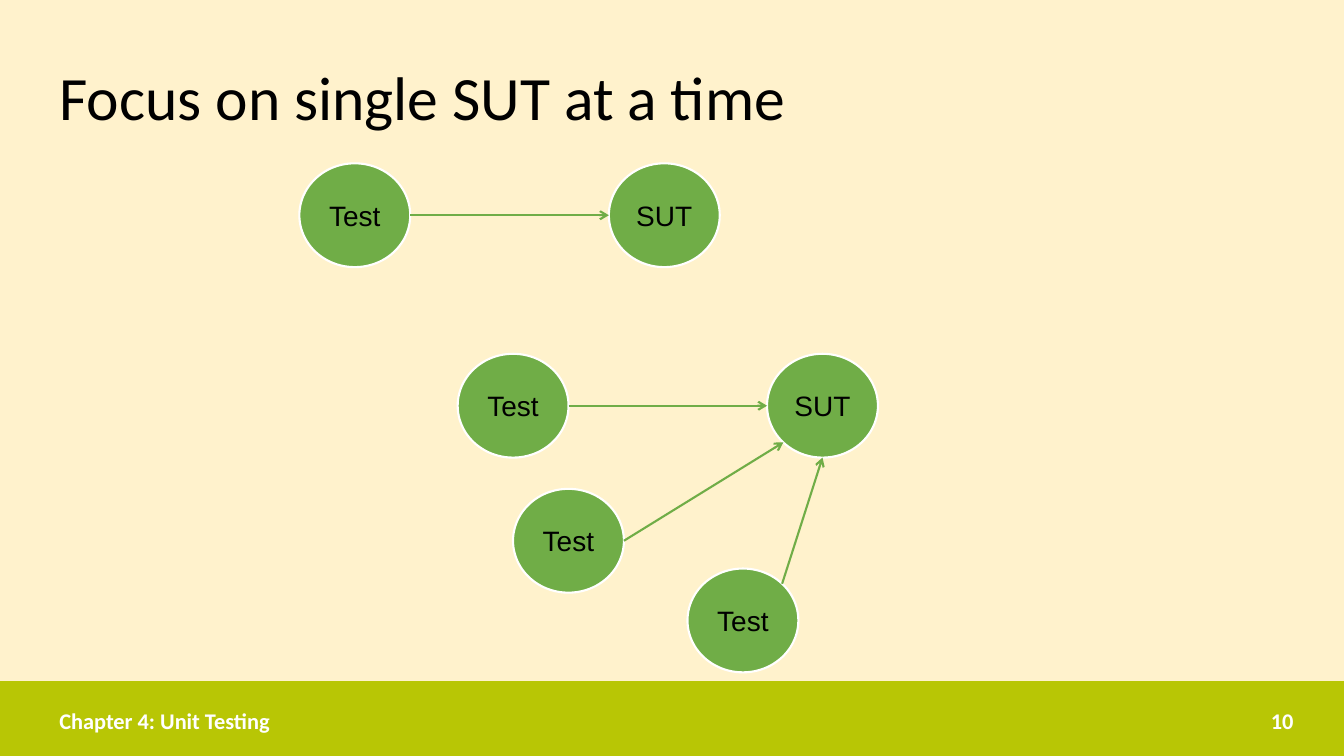
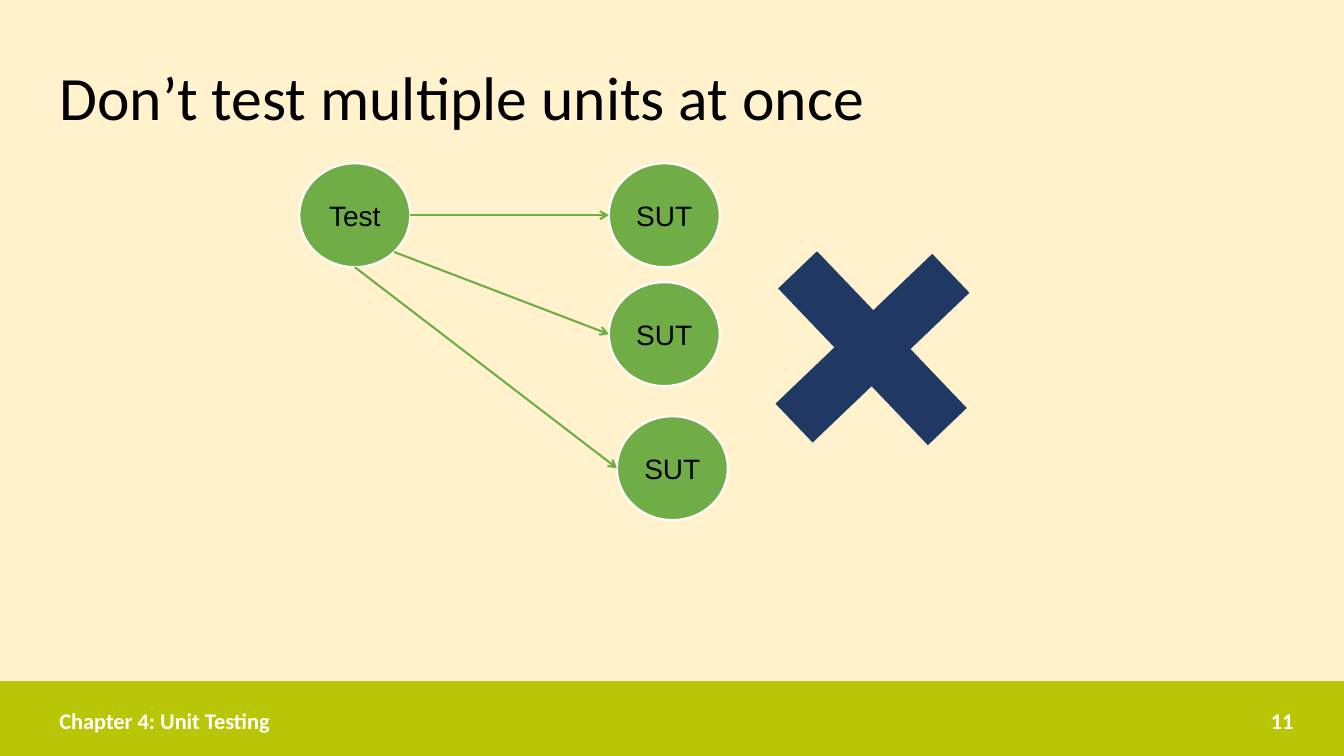
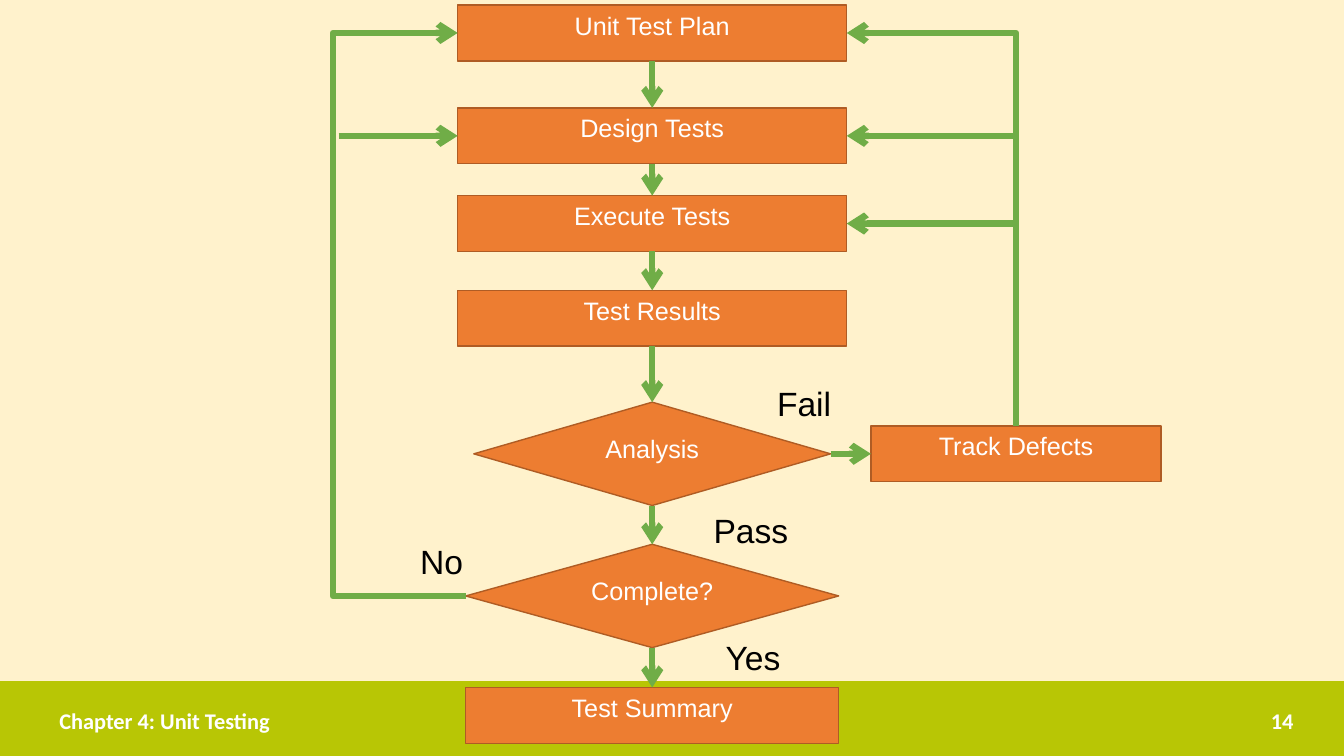
from math import cos, radians, sin

from lxml import etree
from pptx import Presentation
from pptx.dml.color import RGBColor
from pptx.enum.shapes import MSO_CONNECTOR, MSO_SHAPE
from pptx.enum.text import MSO_ANCHOR, PP_ALIGN
from pptx.oxml.ns import qn
from pptx.util import Inches, Pt

STRAIGHT, ELBOW = MSO_CONNECTOR.STRAIGHT, MSO_CONNECTOR.ELBOW
RECTANGLE, ELLIPSE = MSO_SHAPE.RECTANGLE, MSO_SHAPE.OVAL
DIAMOND, CROSS = MSO_SHAPE.DIAMOND, MSO_SHAPE.CROSS
TOP, MIDDLE = MSO_ANCHOR.TOP, MSO_ANCHOR.MIDDLE
LEFT, CENTER, RIGHT = PP_ALIGN.LEFT, PP_ALIGN.CENTER, PP_ALIGN.RIGHT
TOP_SIDE, LEFT_SIDE, BOTTOM_SIDE, RIGHT_SIDE = range(4)

CREAM = RGBColor(0xFF, 0xF2, 0xCC)
LIME = RGBColor(0xB8, 0xC6, 0x05)
GREEN = RGBColor(0x70, 0xAD, 0x47)
ORANGE = RGBColor(0xED, 0x7D, 0x31)
BROWN = RGBColor(0xAF, 0x5C, 0x24)
NAVY = RGBColor(0x20, 0x38, 0x64)
WHITE = RGBColor(0xFF, 0xFF, 0xFF)
BLACK = RGBColor(0x00, 0x00, 0x00)

WIDTH, HEIGHT = Inches(13.333), Inches(7.5)
MARGIN = 3.68
AXIS = 48.53
BOX_HEIGHT, DIAMOND_HEIGHT = 7.4, 13.67
LOOP_LANE, STUB_LEFT, STUB_RIGHT = 24.75, 25.2, 75.38
CHAPTER = "Chapter 4: Unit Testing"


def across(percent):
    return round(WIDTH * percent / 100)


def down(percent):
    return round(HEIGHT * percent / 100)


def area(left, top, width, height):
    return across(left), down(top), across(width), down(height)


def write(shape, text, size=20, font="Arial", color=BLACK, bold=False,
          align=LEFT, anchor=TOP, wrap=True, spacing=None):
    frame = shape.text_frame
    frame.word_wrap = wrap
    frame.vertical_anchor = anchor
    para = frame.paragraphs[0]
    para.alignment = align
    if spacing:
        para.line_spacing = spacing
    span = para.add_run()
    span.text = text
    span.font.name = font
    span.font.size = Pt(size)
    span.font.bold = bold
    span.font.color.rgb = color


def add_text(page, place, text, **style):
    write(page.shapes.add_textbox(*area(*place)), text, **style)


def add_figure(page, kind, place, fill, line=None, weight=1):
    shape = page.shapes.add_shape(kind, *area(*place))
    shape.shadow.inherit = False
    shape.fill.solid()
    shape.fill.fore_color.rgb = fill
    if line is None:
        shape.line.fill.background()
    else:
        shape.line.color.rgb = line
        shape.line.width = Pt(weight)
    return shape


def add_page(deck, number, title=None):
    page = deck.slides.add_slide(deck.slide_layouts[6])
    page.background.fill.solid()
    page.background.fill.fore_color.rgb = CREAM
    add_figure(page, RECTANGLE, (0, 90.1, 100, 9.9), LIME)
    if title:
        add_text(page, (MARGIN, 3.6, 93.2, 19.33), title, size=44,
                 font="Calibri", anchor=MIDDLE, spacing=0.9)
    footer = dict(size=16, font="Calibri", color=WHITE, bold=True, anchor=MIDDLE)
    add_text(page, (MARGIN, 92.67, 46.43, 5.33), CHAPTER, **footer)
    add_text(page, (70.65, 92.67, 26.33, 5.33), str(number), align=RIGHT, **footer)
    return page


def add_node(page, text, center_x, center_y):
    width, height = 8.25, 13.73
    place = (center_x - width / 2, center_y - height / 2, width, height)
    node = add_figure(page, ELLIPSE, place, GREEN, WHITE, 1.5)
    frame = node.text_frame
    frame.margin_left = frame.margin_right = 0
    write(node, text, align=CENTER, anchor=MIDDLE)
    return node


def add_step(page, text, top, width, kind=RECTANGLE, center=AXIS):
    height = DIAMOND_HEIGHT if kind == DIAMOND else BOX_HEIGHT
    place = (center - width / 2, top, width, height)
    step = add_figure(page, kind, place, ORANGE, BROWN)
    write(step, text, size=18, color=WHITE, align=CENTER)
    return step


def add_arrow(page, start, end, weight=4.5, kind=STRAIGHT, tip="tailEnd"):
    arrow = page.shapes.add_connector(kind, *start, *end)
    arrow.line.color.rgb = GREEN
    arrow.line.width = Pt(weight)
    etree.SubElement(arrow.line._get_or_add_ln(), qn("a:" + tip), type="arrow")
    etree.SubElement(arrow._element.spPr, qn("a:effectLst"))
    return arrow


def rim(node, degrees):
    angle = radians(degrees)
    return (round(node.left + node.width / 2 * (1 + cos(angle))),
            round(node.top + node.height / 2 * (1 + sin(angle))))


def point_at(page, source, source_angle, target, target_angle):
    add_arrow(page, rim(source, source_angle), rim(target, target_angle), 1.5)


def join(page, source, source_side, target, target_side, **style):
    arrow = add_arrow(page, (0, 0), (0, 0), **style)
    arrow.begin_connect(source, source_side)
    arrow.end_connect(target, target_side)
    return arrow


def add_stub(page, start_x, step, side):
    middle = step.top + step.height // 2
    arrow = add_arrow(page, (across(start_x), middle), (step.left, middle))
    arrow.end_connect(step, side)


def add_loop(page, source, target, lane):
    arrow = join(page, source, LEFT_SIDE, target, LEFT_SIDE, kind=ELBOW)
    ratio = (arrow.begin_x - across(lane)) / (arrow.begin_x - arrow.end_x)
    guides = arrow._element.spPr.find(qn("a:prstGeom")).get_or_add_avLst()
    etree.SubElement(guides, qn("a:gd"), name="adj1",
                     fmla=f"val {round(ratio * 100000)}")


def add_corner(page, target, source):
    arrow = join(page, target, RIGHT_SIDE, source, TOP_SIDE,
                 kind=ELBOW, tip="headEnd")
    arrow._element.spPr.find(qn("a:prstGeom")).set("prst", "bentConnector2")


def build_single_unit(deck):
    page = add_page(deck, 10, "Focus on single SUT at a time")
    unit = add_node(page, "SUT", 49.43, 28.47)
    point_at(page, add_node(page, "Test", 26.4, 28.47), 0, unit, 180)
    unit = add_node(page, "SUT", 61.2, 53.67)
    for x, y, leave, arrive in ((38.18, 53.67, 0, 180),
                                (42.3, 71.53, 0, 135),
                                (55.28, 82.07, -45, 90)):
        point_at(page, add_node(page, "Test", x, y), leave, unit, arrive)


def build_multiple_units(deck):
    page = add_page(deck, 11, "Don’t test multiple units at once")
    test = add_node(page, "Test", 26.4, 28.47)
    for x, y, leave in ((49.43, 28.47, 0), (49.43, 44.2, 45), (50.03, 61.93, 90)):
        point_at(page, test, leave, add_node(page, "SUT", x, y), 180)
    cross = add_figure(page, CROSS, (56.85, 31.73, 16.13, 28.67), NAVY)
    cross.adjustments[0] = 0.376
    cross.rotation = 316.3


def build_process(deck):
    page = add_page(deck, 14)
    steps = [add_step(page, *step) for step in (
        ("Unit Test Plan", 0.67, 28.95),
        ("Design Tests", 14.27, 28.95),
        ("Execute Tests", 25.87, 28.95),
        ("Test Results", 38.4, 28.95),
        ("Analysis", 53.2, 26.55, DIAMOND),
        ("Complete?", 72, 27.75, DIAMOND),
        ("Test Summary", 90.93, 27.75),
    )]
    plan, design, execute, results, analysis, complete, summary = steps
    defects = add_step(page, "Track Defects", 56.33, 21.6, center=75.6)

    for upper, lower in zip(steps, steps[1:]):
        join(page, upper, BOTTOM_SIDE, lower, TOP_SIDE)
    join(page, analysis, RIGHT_SIDE, defects, LEFT_SIDE)
    add_corner(page, plan, defects)
    add_loop(page, complete, plan, LOOP_LANE)
    for step in (design, execute):
        add_stub(page, STUB_RIGHT, step, RIGHT_SIDE)
    add_stub(page, STUB_LEFT, design, LEFT_SIDE)

    for text, left, top, width in (("Pass", 52.35, 66.8, 7.13),
                                   ("Yes", 53.25, 83.6, 5.63),
                                   ("Fail", 57.08, 50, 5.55),
                                   ("No", 30.53, 70.93, 4.73)):
        add_text(page, (left, top, width, 6.73), text, size=24, wrap=False)


def main():
    deck = Presentation()
    deck.slide_width, deck.slide_height = WIDTH, HEIGHT
    build_single_unit(deck)
    build_multiple_units(deck)
    build_process(deck)
    deck.save("out.pptx")


if __name__ == "__main__":
    main()
